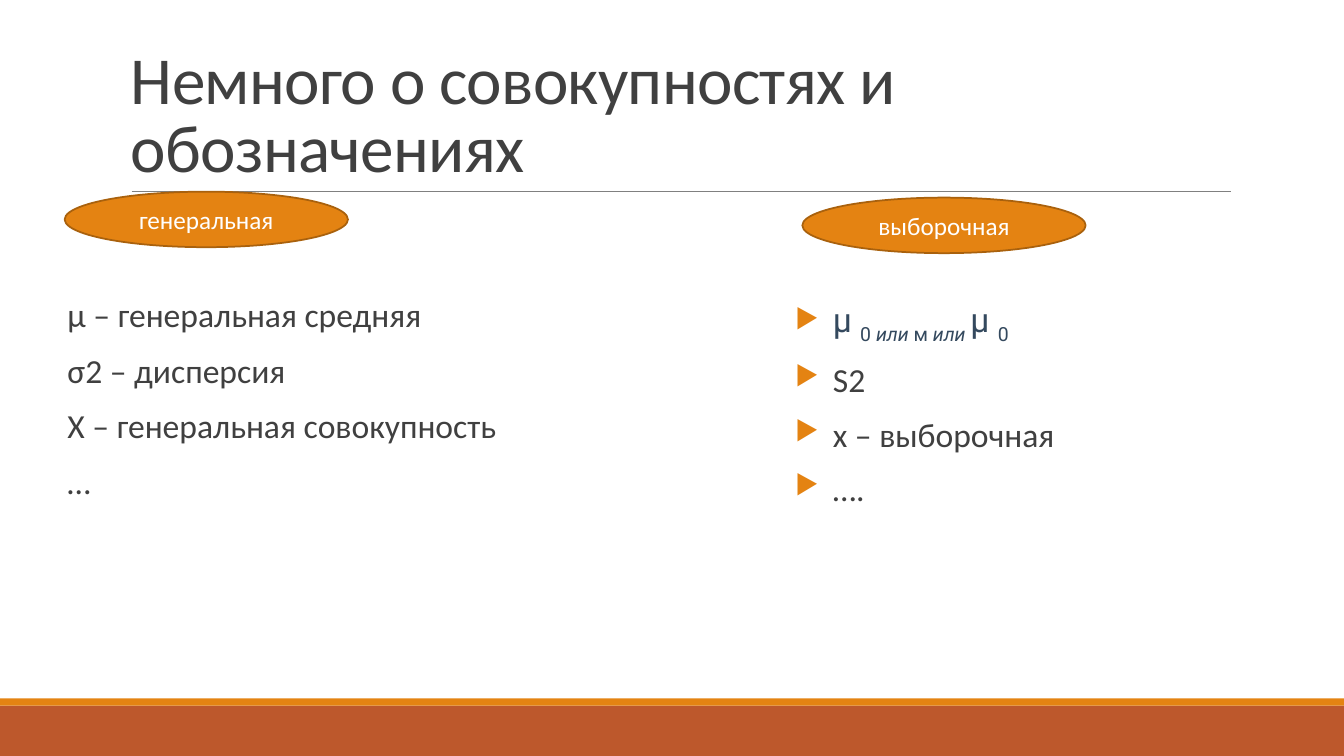
from dataclasses import dataclass

from lxml.etree import SubElement
from pptx import Presentation
from pptx.dml.color import RGBColor
from pptx.enum.shapes import MSO_CONNECTOR, MSO_SHAPE
from pptx.enum.text import MSO_ANCHOR, PP_ALIGN
from pptx.oxml.ns import qn
from pptx.util import Cm, Pt


@dataclass(frozen=True)
class Theme:
    font: str = "Calibri"
    formula_font: str = "Roboto"
    text: str = "404040"
    formula: str = "34495E"
    white: str = "FFFFFF"
    orange: str = "E48312"
    dark_orange: str = "A9610D"
    rust: str = "BD582C"
    rule: str = "808080"
    title_size: int = 48
    body_size: int = 24
    label_size: int = 18


THEME = Theme()
SLIDE_WIDTH, SLIDE_HEIGHT = 33.87, 19.05

POPULATION_NOTES = [
    "μ – генеральная средняя",
    "σ2 – дисперсия",
    "Х – генеральная совокупность",
    "…",
]
SAMPLE_NOTES = ["S2", "х – выборочная", "…."]
SUBSCRIPT = {"baseline": -25}
SAMPLE_MEAN_RUNS = [
    ("μ\u00a0", {}),
    ("0 ", SUBSCRIPT),
    ("или", {"italic": True, **SUBSCRIPT}),
    (" м ", SUBSCRIPT),
    ("или ", {"italic": True, **SUBSCRIPT}),
    ("μ\u00a0", {}),
    ("0", SUBSCRIPT),
]


def add_run(paragraph, text, size=THEME.body_size, color=THEME.text, font=THEME.font,
            italic=False, baseline=0, spacing=0):
    """Add formatted text; baseline is in percent, spacing in points."""
    run = paragraph.add_run()
    run.text = text
    run.font.size = Pt(size)
    run.font.name = font
    run.font.italic = italic
    run.font.color.rgb = RGBColor.from_string(color)
    properties = run._r.get_or_add_rPr()
    if baseline:
        properties.set("baseline", str(baseline * 1000))
    if spacing:
        properties.set("spc", str(round(spacing * 100)))


def add_text_frame(slide, left, top, width, height, side_inset=0.25):
    frame = slide.shapes.add_textbox(Cm(left), Cm(top), Cm(width), Cm(height)).text_frame
    frame.word_wrap = True
    frame.margin_left = frame.margin_right = Cm(side_inset)
    return frame


def next_paragraph(frame, index, space_before):
    """Return the paragraph at index, spaced from the one above it."""
    if index == 0:
        return frame.paragraphs[0]
    paragraph = frame.add_paragraph()
    paragraph.space_before = Pt(space_before)
    return paragraph


def set_indent(paragraph, margin, first_line=0.0):
    properties = paragraph._p.get_or_add_pPr()
    properties.set("marL", str(Cm(margin)))
    properties.set("indent", str(Cm(first_line)))
    return properties


def add_arrow_bullet(paragraph):
    properties = set_indent(paragraph, 0.95, -0.95)
    color = SubElement(properties, qn("a:buClr"))
    SubElement(color, qn("a:srgbClr"), val=THEME.orange)
    SubElement(properties, qn("a:buSzPct"), val="80000")
    SubElement(properties, qn("a:buChar"), char="▶")


def add_filled_shape(slide, kind, left, top, width, height, fill, line=None):
    shape = slide.shapes.add_shape(kind, Cm(left), Cm(top), Cm(width), Cm(height))
    shape.shadow.inherit = False
    shape.fill.solid()
    shape.fill.fore_color.rgb = RGBColor.from_string(fill)
    if line:
        shape.line.color.rgb = RGBColor.from_string(line)
        shape.line.width = Pt(1.25)
    else:
        shape.line.fill.background()
    return shape


def add_title_rule(slide):
    rule = slide.shapes.add_connector(
        MSO_CONNECTOR.STRAIGHT, Cm(3.32), Cm(4.82), Cm(31.01), Cm(4.82))
    rule.line.color.rgb = RGBColor.from_string(THEME.rule)
    rule.line.width = Pt(0.5)
    SubElement(rule._element.spPr, qn("a:effectLst"))


def add_title(slide, text):
    frame = add_text_frame(slide, 3.05, 0.79, 27.94, 4.03)
    frame.vertical_anchor = MSO_ANCHOR.BOTTOM
    paragraph = frame.paragraphs[0]
    paragraph.line_spacing = 0.85
    add_run(paragraph, text, size=THEME.title_size, spacing=-0.5)


def add_oval_label(slide, text, left, top):
    oval = add_filled_shape(slide, MSO_SHAPE.OVAL, left, top, 7.14, 1.4,
                            THEME.orange, THEME.dark_orange)
    oval.text_frame.vertical_anchor = MSO_ANCHOR.MIDDLE
    paragraph = oval.text_frame.paragraphs[0]
    paragraph.alignment = PP_ALIGN.CENTER
    add_run(paragraph, text, size=THEME.label_size, color=THEME.white)


def add_population_notes(slide):
    frame = add_text_frame(slide, 1.45, 7.39, 11.56, 10.77, side_inset=0)
    for index, note in enumerate(POPULATION_NOTES):
        paragraph = next_paragraph(frame, index, space_before=12)
        set_indent(paragraph, 0.25)
        paragraph.line_spacing = 0.9
        paragraph.space_after = Pt(2)
        add_run(paragraph, note)


def add_sample_notes(slide):
    frame = add_text_frame(slide, 19.79, 7.42, 11.53, 10.74)
    mean = next_paragraph(frame, 0, space_before=10)
    add_arrow_bullet(mean)
    for text, style in SAMPLE_MEAN_RUNS:
        add_run(mean, text, color=THEME.formula, font=THEME.formula_font, **style)
    for index, note in enumerate(SAMPLE_NOTES, start=1):
        paragraph = next_paragraph(frame, index, space_before=10)
        add_arrow_bullet(paragraph)
        add_run(paragraph, note)


def main():
    presentation = Presentation()
    presentation.slide_width = Cm(SLIDE_WIDTH)
    presentation.slide_height = Cm(SLIDE_HEIGHT)
    slide = presentation.slides.add_slide(presentation.slide_layouts[6])

    for top, height, color in ((17.78, 1.27, THEME.rust), (17.6, 0.18, THEME.orange)):
        add_filled_shape(slide, MSO_SHAPE.RECTANGLE, 0, top, SLIDE_WIDTH, height, color)
    add_title_rule(slide)
    add_title(slide, "Немного о совокупностях и обозначениях")
    add_population_notes(slide)
    add_oval_label(slide, "генеральная", 1.63, 4.83)
    add_oval_label(slide, "выборочная", 20.22, 4.98)
    add_sample_notes(slide)

    presentation.save("out.pptx")


if __name__ == "__main__":
    main()
